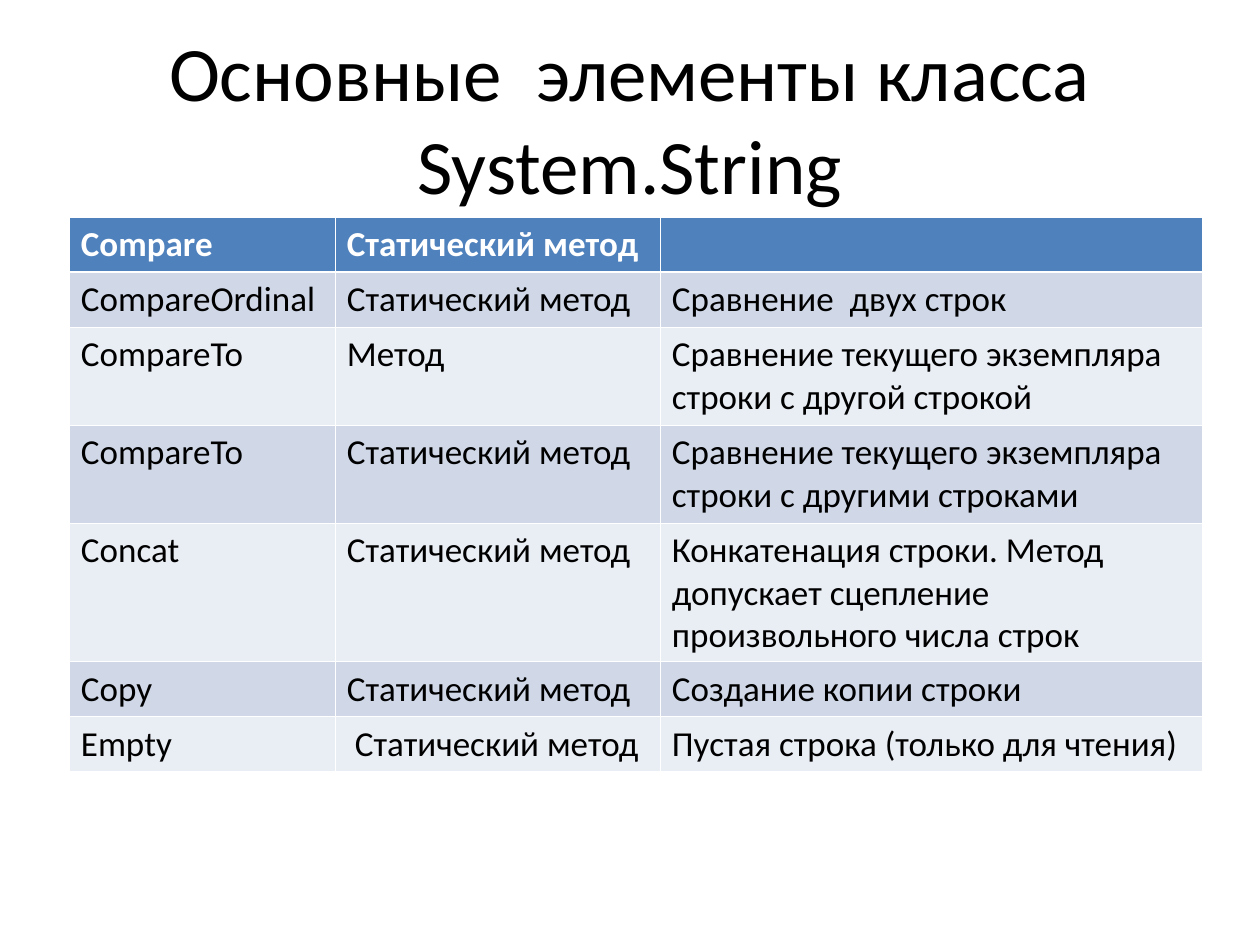
from dataclasses import dataclass

from lxml import etree
from pptx import Presentation, util as u
from pptx.dml.color import RGBColor
from pptx.enum import text
from pptx.oxml import ns

DPI = 126
INK = {
    "text": "000000",
    "line": "FFFFFF",
    "head": "4F81BD",
    "odd": "D0D8E8",
    "even": "E9EDF4",
}
COLS = (266, 325, 542)
THIN, THICK = 0.45, 1.47
PAD, GAP = 12, 6
SHIFT = 8


@dataclass(frozen=True)
class Row:
    height: int
    name: str
    kind: str
    note: str = ""
    shift: int = 0


STATIC = "Статический метод"
ROWS = (
    Row(55, "Compare", STATIC),
    Row(55, "CompareOrdinal", STATIC, "Сравнение  двух строк"),
    Row(98, "CompareTo", "Метод",
        "Сравнение текущего экземпляра строки с другой строкой"),
    Row(98, "CompareTo", STATIC,
        "Сравнение текущего экземпляра строки с другими строками"),
    Row(139, "Concat", STATIC,
        "Конкатенация строки. Метод допускает сцепление произвольного числа строк"),
    Row(55, "Copy", STATIC, "Создание копии строки"),
    Row(55, "Empty", STATIC, "Пустая строка (только для чтения)", SHIFT),
)


def px(n: int) -> u.Emu:
    return u.Emu(round(n * u.Inches(1) / DPI))


def apply(item, form: dict) -> None:
    for key, value in form.items():
        setattr(item, key, value)


def style(par, size: int, ink: str, bold: bool = False) -> None:
    apply(par.font, {"name": "Calibri", "size": u.Pt(size), "bold": bold})
    par.font.color.rgb = RGBColor.from_string(INK[ink])


def edge(cell, side: str, width: float) -> None:
    """Add one border; sides must come in the order L, R, T, B."""
    line = etree.SubElement(cell._tc.get_or_add_tcPr(), ns.qn(f"a:ln{side}"),
                            w=str(u.Pt(width)))
    fill = etree.SubElement(line, ns.qn("a:solidFill"))
    etree.SubElement(fill, ns.qn("a:srgbClr"), val=INK["line"])


def draw_cell(cell, words: str, row: int, shift: int) -> None:
    edges = {
        "L": THIN,
        "R": THIN,
        "T": THICK if row == 1 else THIN,
        "B": THICK if row == 0 else THIN,
    }
    for side, width in edges.items():
        edge(cell, side, width)
    band = "head" if row == 0 else "odd" if row % 2 else "even"
    cell.fill.solid()
    cell.fill.fore_color.rgb = RGBColor.from_string(INK[band])
    apply(cell, {
        "margin_left": px(PAD + shift), "margin_right": px(PAD),
        "margin_top": px(GAP), "margin_bottom": px(GAP),
        "text": words,
    })
    head = row == 0
    style(cell.text_frame.paragraphs[0], 20, "line" if head else "text", head)


def draw_table(slide, left: int, top: int) -> None:
    high = sum(row.height for row in ROWS)
    table = slide.shapes.add_table(
        len(ROWS), len(COLS), px(left), px(top), px(sum(COLS)), px(high)).table
    for col, width in zip(table.columns, COLS):
        col.width = px(width)
    for i, row in enumerate(ROWS):
        table.rows[i].height = px(row.height)
        for j, words in enumerate((row.name, row.kind, row.note)):
            draw_cell(table.cell(i, j), words, i, row.shift if j == 1 else 0)


def draw_title(slide, words: str) -> None:
    box = slide.shapes.add_textbox(px(63), px(38), px(1134), px(158))
    frame = box.text_frame
    apply(frame, {"word_wrap": True, "text": words,
                  "vertical_anchor": text.MSO_ANCHOR.MIDDLE})
    par = frame.paragraphs[0]
    par.alignment = text.PP_ALIGN.CENTER
    style(par, 44, "text")


def main() -> None:
    deck = Presentation()
    apply(deck, {"slide_width": px(1260), "slide_height": px(945)})
    slide = deck.slides.add_slide(deck.slide_layouts[6])
    draw_title(slide, "Основные  элементы класса System.String")
    draw_table(slide, 69, 217)
    deck.save("out.pptx")


if __name__ == "__main__":
    main()
